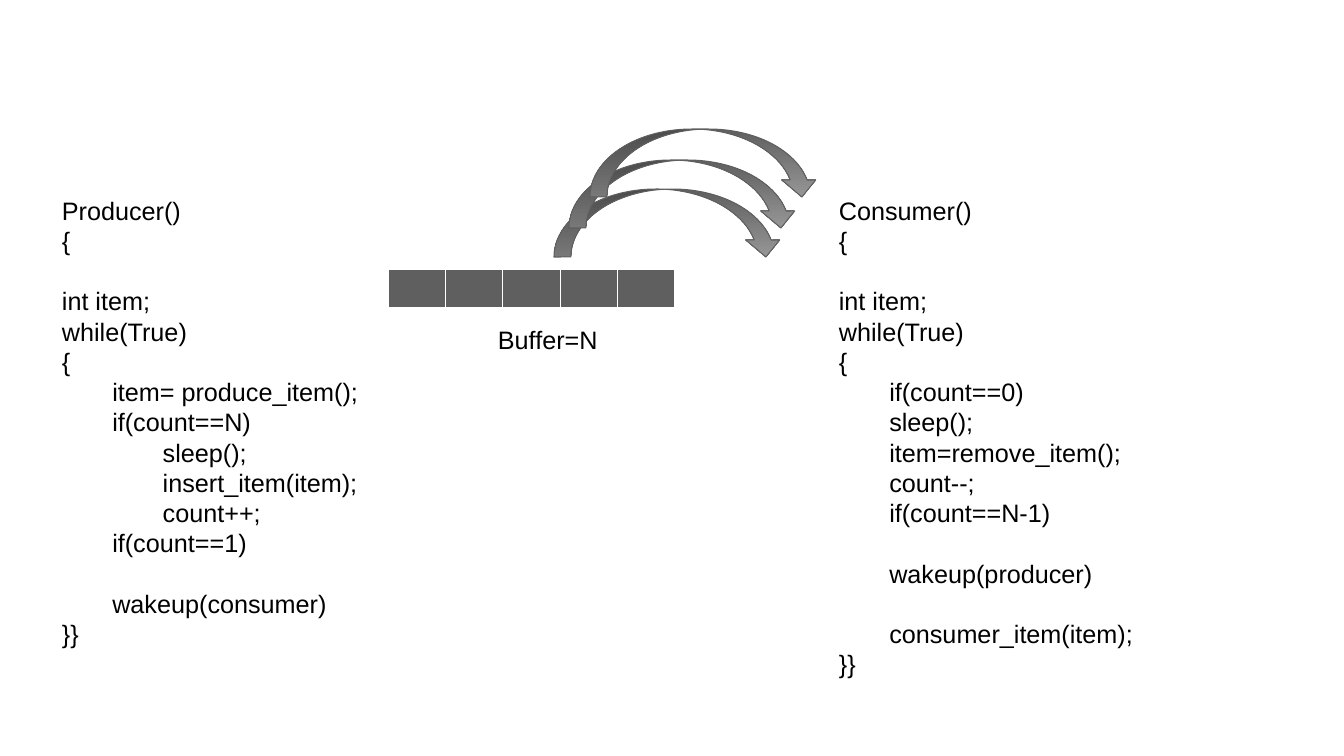
from lxml import etree
from pptx import Presentation
from pptx import util as u
from pptx.dml.color import RGBColor
from pptx.enum import shapes
from pptx.oxml import ns

THEME = {
    "font": "Arial", "size": 18, "line_pitch": 21.6,
    "text": "000000", "dark": "5F5F5F", "light": "969696", "border": "FFFFFF",
    "outline": 0.75,
}
PRODUCER = [
    (0, "Producer()"), (0, "{"), None, (0, "int item;"), (0, "while(True)"), (0, "{"),
    (1, "item= produce_item();"), (1, "if(count==N)"),
    (2, "sleep();"), (2, "insert_item(item);"), (2, "count++;"),
    (1, "if(count==1)"), None, (1, "wakeup(consumer)"), (0, "}}"),
]
CONSUMER = [
    (0, "Consumer()"), (0, "{"), None, (0, "int item;"), (0, "while(True)"), (0, "{"),
    (1, "if(count==0)"), (1, "sleep();"), (1, "item=remove_item();"), (1, "count--;"),
    (1, "if(count==N-1)"), None, (1, "wakeup(producer)"), None,
    (1, "consumer_item(item);"), (0, "}}"),
]
TEXT_BOXES = [
    ((829, 190, 365, 499), CONSUMER),
    ((52, 190, 336, 499), PRODUCER),
    ((488, 319, 124, 40), [(0, "Buffer=N")]),
]
BUFFER_BOX = (388, 269, 287, 40)
BUFFER_SLOTS = 5
BORDERS = {"L": 1, "R": 1, "T": 1, "B": 3}
ARROW_SIZE = (229, 68)
ARROW_CORNERS = [(554, 189), (569, 160), (590, 129)]
INDENT = 0.5


def px(pixels):
    return u.Emu(round(pixels * u.Inches(1) / 100.8))


def color(name):
    return RGBColor.from_string(THEME[name])


def add_lines(slide, box, lines):
    frame = slide.shapes.add_textbox(*map(px, box)).text_frame
    frame.word_wrap = True
    paragraph = frame.paragraphs[0]
    gap = 0
    for number, line in enumerate(lines):
        if line is None:
            gap += THEME["line_pitch"]
            continue
        if number:
            paragraph = frame.add_paragraph()
        level, paragraph.text = line
        paragraph.level = level
        paragraph.line_spacing = u.Pt(THEME["line_pitch"])
        paragraph.space_before = u.Pt(gap)
        properties = paragraph._p.get_or_add_pPr()
        properties.set("marL", str(u.Inches(level * INDENT)))
        properties.set("indent", "0")
        paragraph.font.name = THEME["font"]
        paragraph.font.size = u.Pt(THEME["size"])
        paragraph.font.color.rgb = color("text")
        gap = 0


def add_border(cell, side, width):
    properties = cell._tc.get_or_add_tcPr()
    line = etree.SubElement(properties, ns.qn(f"a:ln{side}"), w=str(u.Pt(width)))
    fill = etree.SubElement(line, ns.qn("a:solidFill"))
    etree.SubElement(fill, ns.qn("a:srgbClr"), val=THEME["border"])


def add_buffer(slide):
    table = slide.shapes.add_table(1, BUFFER_SLOTS, *map(px, BUFFER_BOX)).table
    for column in table.columns:
        column.width = px(BUFFER_BOX[2] / BUFFER_SLOTS)
    for cell in table.iter_cells():
        for side, width in BORDERS.items():
            add_border(cell, side, width)
        cell.fill.solid()
        cell.fill.fore_color.rgb = color("dark")


def add_arrow(slide, corner):
    arrow = slide.shapes.add_shape(
        shapes.MSO_SHAPE.CURVED_DOWN_ARROW, *map(px, corner + ARROW_SIZE))
    arrow.shadow.inherit = False
    arrow.fill.gradient()
    arrow.fill.gradient_angle = 270
    for stop, position, name in zip(arrow.fill.gradient_stops, (0, 1), ("dark", "light")):
        stop.position = position
        stop.color.rgb = color(name)
    arrow.line.color.rgb = color("dark")
    arrow.line.width = u.Pt(THEME["outline"])


presentation = Presentation()
presentation.slide_width, presentation.slide_height = px(1344), px(756)
slide = presentation.slides.add_slide(presentation.slide_layouts[6])
for box, lines in TEXT_BOXES:
    add_lines(slide, box, lines)
add_buffer(slide)
for corner in ARROW_CORNERS:
    add_arrow(slide, corner)
presentation.save("out.pptx")
